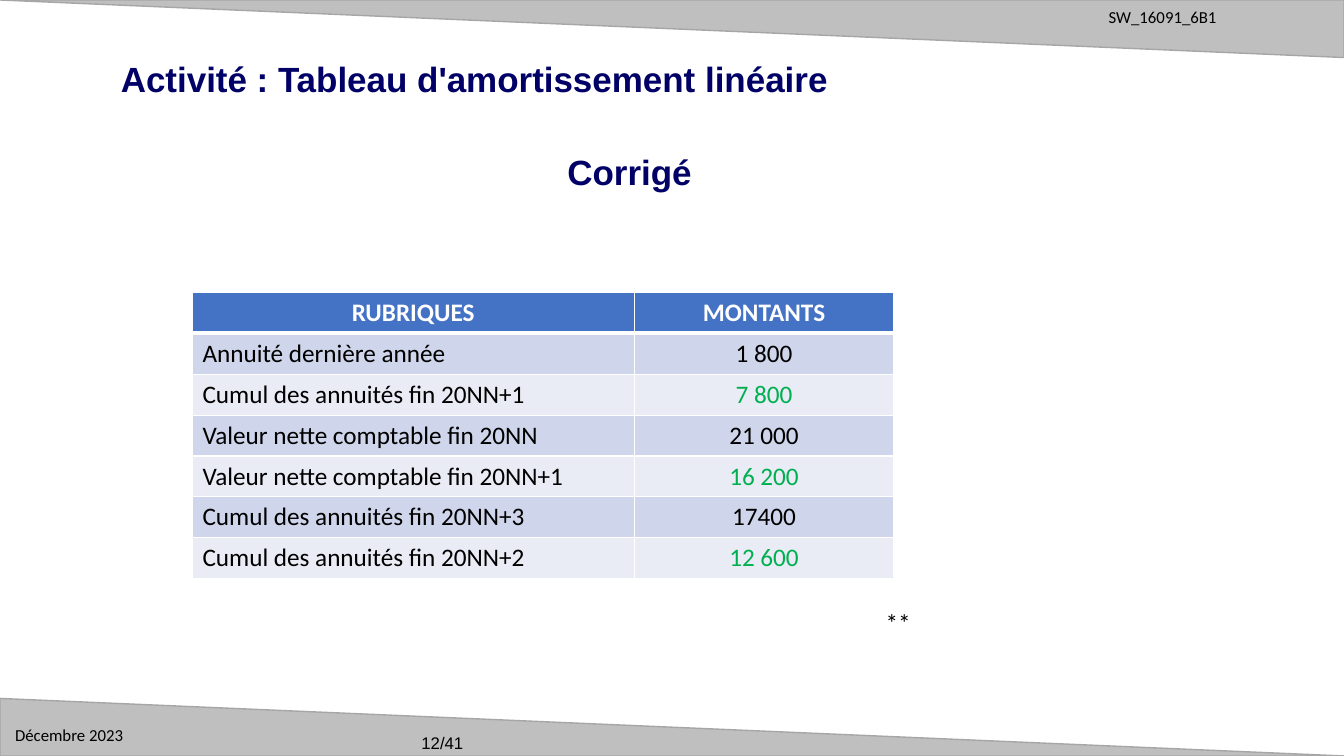
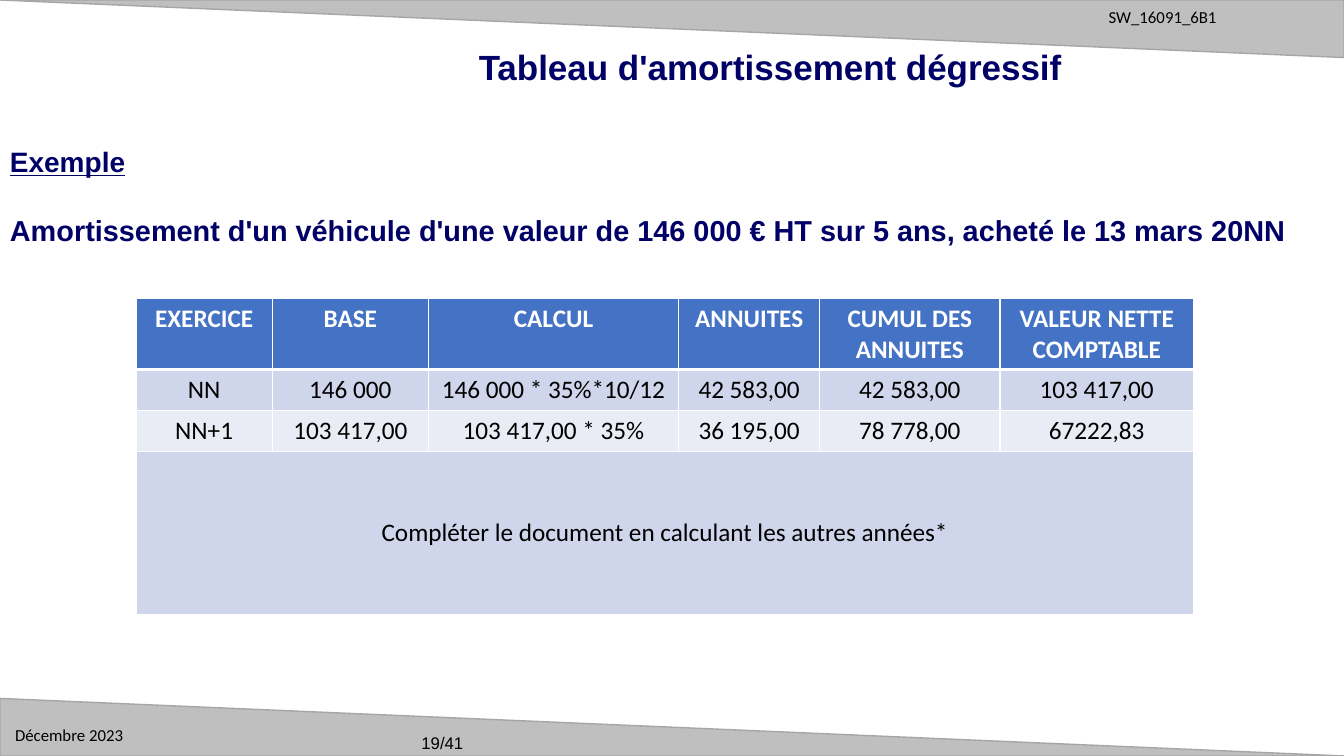
import lxml.etree
import pptx
import pptx.dml.color
import pptx.enum.shapes
import pptx.enum.text
import pptx.oxml
import pptx.oxml.ns
import pptx.util

Cm = pptx.util.Cm
Pt = pptx.util.Pt
ALIGN = pptx.enum.text.PP_ALIGN
ANCHOR = pptx.enum.text.MSO_ANCHOR

COLOURS = {
    "title": "000066",
    "text": "000000",
    "white": "FFFFFF",
    "answer": "00B050",
    "header": "4472C4",
    "odd_row": "CFD5EA",
    "even_row": "E9EBF5",
    "band": "BFBFBF",
    "band_line": "A6A6A6",
}
SLIDE_WIDTH, SLIDE_HEIGHT = 33.87, 19.05
BAND_HEIGHT = 1.45
ROW_HEIGHT = 1.03
PAGE_COUNT = 41
TITLE = {"size": 25, "font": "Arial", "colour": "title", "bold": True}
EXAMPLE = {"font": "Arial", "colour": "title", "bold": True}


def rgb(name):
    return pptx.dml.color.RGBColor.from_string(COLOURS[name])


def write(para, text, size=18, font="Calibri", colour="text", bold=False,
          underline=False, align=ALIGN.LEFT, before=0):
    para.alignment = align
    if before:
        para.space_before = Pt(before)
    span = para.add_run()
    span.text = text
    span.font.size = Pt(size)
    span.font.name = font
    span.font.bold = bold
    span.font.underline = underline
    span.font.color.rgb = rgb(colour)


def add_text(page, left, top, width, height, text, **style):
    box = page.shapes.add_textbox(Cm(left), Cm(top), Cm(width), Cm(height))
    box.text_frame.word_wrap = True
    write(box.text_frame.paragraphs[0], text, **style)
    return box


def add_band(page, top, rotation):
    band = page.shapes.add_shape(
        pptx.enum.shapes.MSO_SHAPE.ISOSCELES_TRIANGLE,
        0, Cm(top), Cm(SLIDE_WIDTH), Cm(BAND_HEIGHT))
    band.adjustments[0] = 0
    band.rotation = rotation
    band.shadow.inherit = False
    band.fill.solid()
    band.fill.fore_color.rgb = rgb("band")
    band.line.color.rgb = rgb("band_line")
    band.line.width = Pt(1)


def add_page(deck, number):
    page = deck.slides.add_slide(deck.slide_layouts[6])
    add_band(page, 0, 180)
    add_band(page, SLIDE_HEIGHT - BAND_HEIGHT, 0)
    add_text(page, 10.37, 18.34, 3, 0.7, f"{number}/{PAGE_COUNT}", size=12, font="Arial")
    add_text(page, 27.69, 0.05, 6.07, 0.76, "SW_16091_6B1", size=12)
    add_text(page, 0.13, 18.14, 3.5, 0.76, "Décembre 2023", size=12)
    return page


def set_borders(cell, top, bottom):
    properties = cell._tc.get_or_add_tcPr()
    for side, width in (("L", 1), ("R", 1), ("T", top), ("B", bottom)):
        line = lxml.etree.SubElement(
            properties, pptx.oxml.ns.qn(f"a:ln{side}"), w=str(Pt(width)))
        fill = lxml.etree.SubElement(line, pptx.oxml.ns.qn("a:solidFill"))
        lxml.etree.SubElement(fill, pptx.oxml.ns.qn("a:srgbClr"), val=COLOURS["white"])


def add_table(page, left, top, widths, heights):
    frame = page.shapes.add_table(
        len(heights), len(widths), Cm(left), Cm(top), Cm(sum(widths)), Cm(sum(heights)))
    table = frame.table
    table.horz_banding = False
    for column, width in zip(table.columns, widths):
        column.width = Cm(width)
    for index, height in enumerate(heights):
        row = table.rows[index]
        row.height = Cm(height)
        fill = "header" if index == 0 else "odd_row" if index % 2 else "even_row"
        for cell in row.cells:
            set_borders(cell, 3 if index == 1 else 1, 3 if index == 0 else 1)
            cell.fill.solid()
            cell.fill.fore_color.rgb = rgb(fill)
    return table


def fill_cell(cell, text, **style):
    write(cell.text_frame.paragraphs[0], text, **style)


def fill_header(table, labels):
    for cell, label in zip(table.rows[0].cells, labels):
        fill_cell(cell, label, colour="white", bold=True, align=ALIGN.CENTER)


def add_correction(deck):
    page = add_page(deck, 12)
    amounts = [
        ("Annuité dernière année", "1 800"),
        ("Cumul des annuités fin 20NN+1", "7 800"),
        ("Valeur nette comptable fin 20NN", "21 000"),
        ("Valeur nette comptable fin 20NN+1", "16 200"),
        ("Cumul des annuités fin 20NN+3", "17400"),
        ("Cumul des annuités fin 20NN+2", "12 600"),
    ]
    table = add_table(page, 4.85, 7.37, [11.13, 6.55], [ROW_HEIGHT] * (len(amounts) + 1))
    fill_header(table, ["RUBRIQUES", "MONTANTS"])
    for index, (label, amount) in enumerate(amounts, 1):
        fill_cell(table.cell(index, 0), label)
        cell = table.cell(index, 1)
        cell.vertical_anchor = ANCHOR.MIDDLE
        fill_cell(cell, amount, colour="text" if index % 2 else "answer", align=ALIGN.CENTER)
    add_text(page, 0.48, 1.32, 22.94, 1.32, "Activité : Tableau d'amortissement linéaire",
             align=ALIGN.CENTER, **TITLE)
    add_text(page, 14.05, 3.68, 4, 1.32, "Corrigé", **TITLE)
    add_text(page, 22.07, 15.19, 1.88, 1.02, "**")


def add_declining_balance(deck):
    page = add_page(deck, 19)
    add_text(page, 9.22, 1.02, 20.37, 1.32, "Tableau d'amortissement dégressif",
             align=ALIGN.CENTER, **TITLE)
    example = add_text(page, 0, 3.51, SLIDE_WIDTH, 2.84, "Exemple",
                       size=20, underline=True, **EXAMPLE)
    write(example.text_frame.add_paragraph(),
          "Amortissement d'un véhicule d'une valeur de 146 000 € HT sur 5 ans, "
          "acheté le 13 mars 20NN", size=20.6, before=25, **EXAMPLE)
    years = [
        ("NN", "146 000", "146 000 * 35%*10/12", "42 583,00", "42 583,00", "103 417,00"),
        ("NN+1", "103 417,00", "103 417,00 * 35%", "36 195,00", "78 778,00", "67222,83"),
    ]
    table = add_table(page, 3.43, 7.52, [3.43, 3.94, 6.3, 3.56, 4.54, 4.88],
                      [1.79, ROW_HEIGHT, ROW_HEIGHT, 4.11])
    fill_header(table, ["EXERCICE", "BASE", "CALCUL", "ANNUITES",
                        "CUMUL DES ANNUITES", "VALEUR NETTE COMPTABLE"])
    for index, year in enumerate(years, 1):
        for cell, value in zip(table.rows[index].cells, year):
            fill_cell(cell, value, align=ALIGN.CENTER)
    task = table.cell(3, 0)
    task.merge(table.cell(3, 5))
    task.vertical_anchor = ANCHOR.MIDDLE
    fill_cell(task, "Compléter le document en calculant les autres années*",
              align=ALIGN.CENTER)


def main():
    deck = pptx.Presentation()
    deck.slide_width = Cm(SLIDE_WIDTH)
    deck.slide_height = Cm(SLIDE_HEIGHT)
    add_correction(deck)
    add_declining_balance(deck)
    deck.save("out.pptx")


if __name__ == "__main__":
    main()
